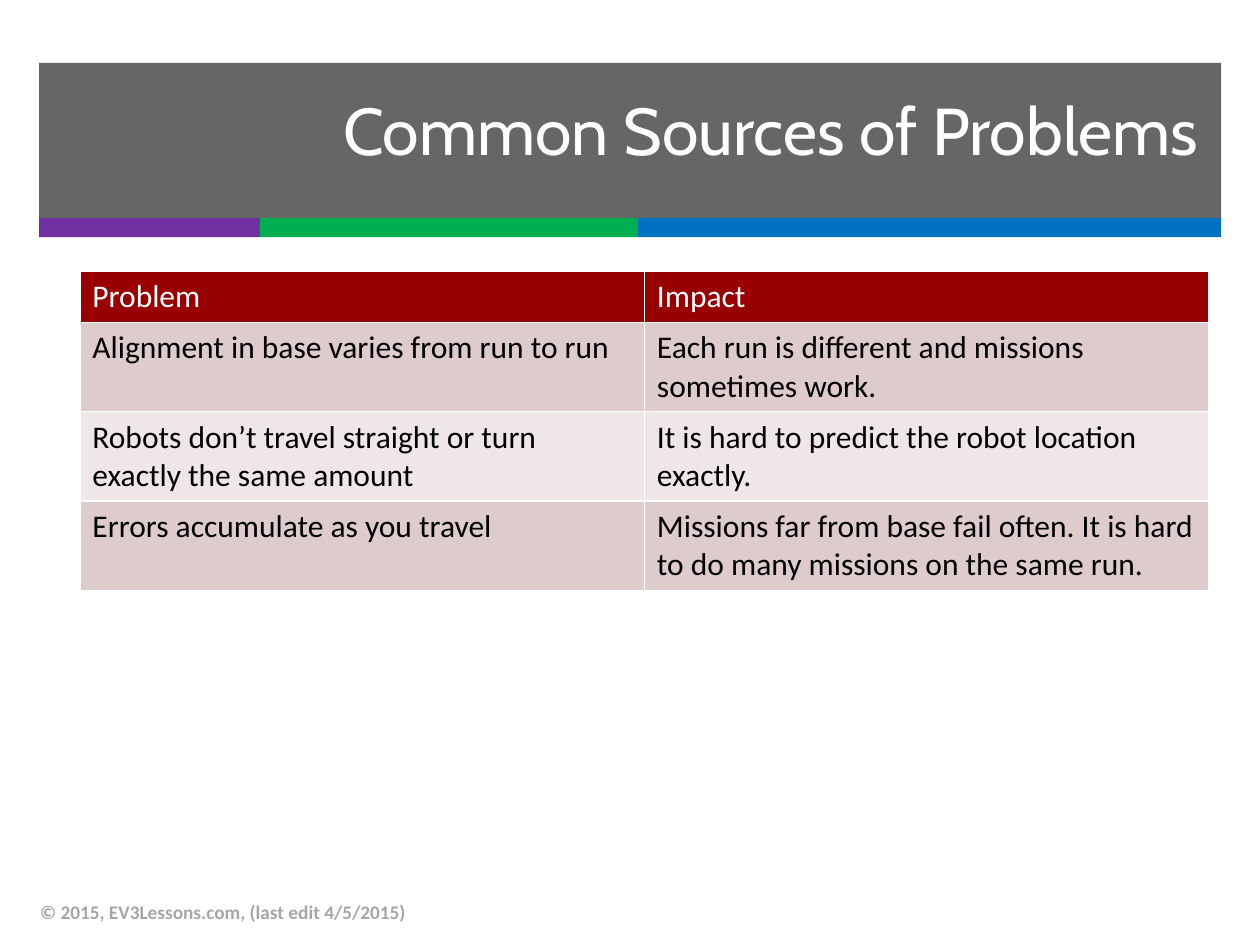
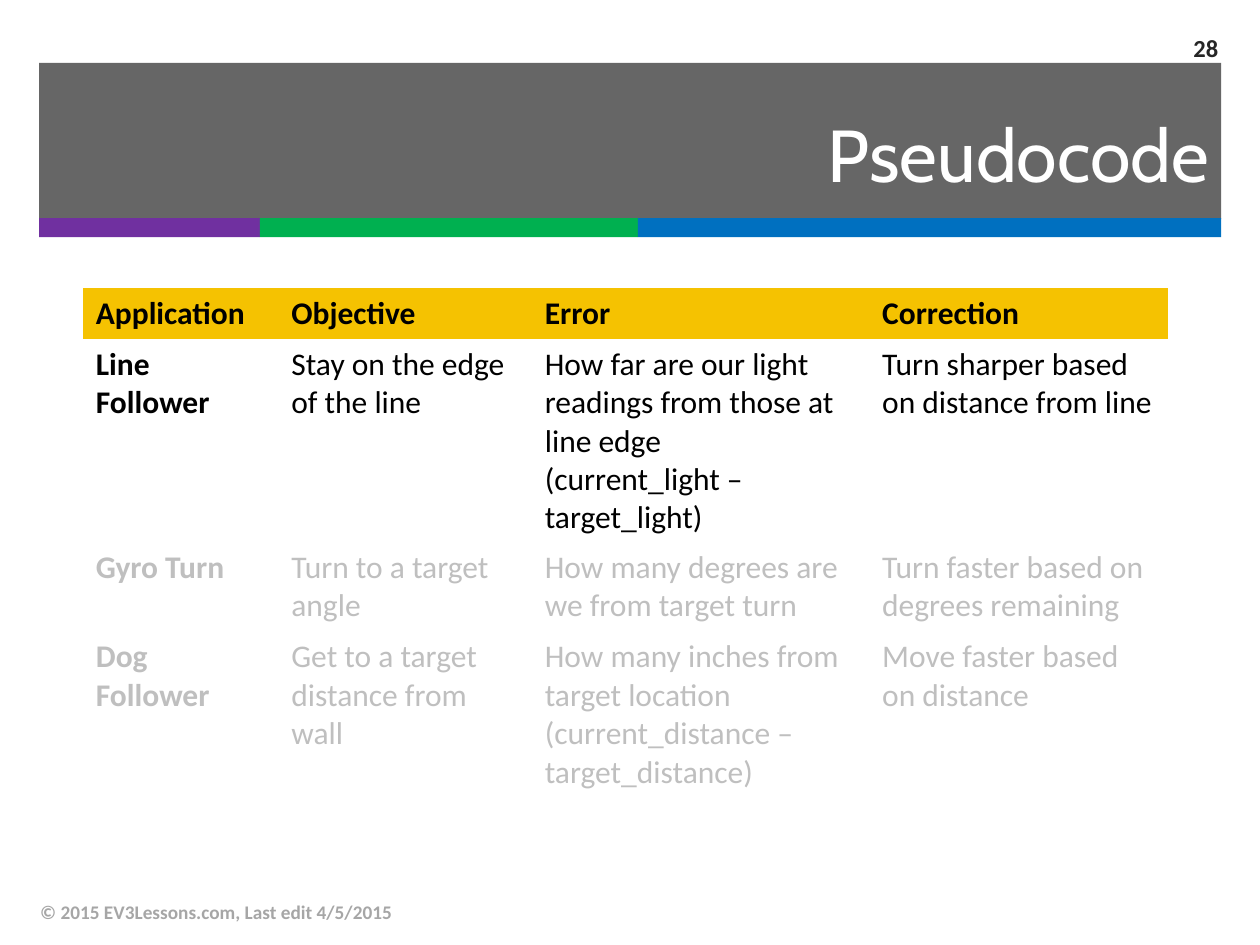
from dataclasses import dataclass

from lxml import etree
from pptx import Presentation
from pptx.dml.color import RGBColor
from pptx.enum import shapes, text
from pptx.oxml import ns
from pptx.util import Cm, Pt


@dataclass(frozen=True)
class Theme:
    head: str = "Cabin"
    body: str = "Calibri"
    white: str = "FFFFFF"
    black: str = "000000"
    dark: str = "262626"
    faded: str = "BFBFBF"
    foot: str = "A6A6A6"
    red: str = "990000"
    rose: str = "DECCCC"
    blush: str = "EFE7E7"
    gold: str = "F5C201"
    stripes: tuple = (("7030A0", 4.45), ("00B050", 7.62), ("0070C0", 11.76))
    cell: float = 18
    note: float = 11
    page: float = 14


T = Theme()
LEFT, TOP, WIDE, TALL = 0.79, 1.27, 23.83, 3.15
PLAIN = "{2D5ABB26-0587-4C30-8999-92F81FD0307C}"  # no style, no grid


def write(frame, words, size=T.cell, font=T.body, color=T.black,
          bold=False, align=text.PP_ALIGN.LEFT):
    para = frame.paragraphs[0]
    para.text = words
    para.alignment = align
    for run in para.runs:
        run.font.size = Pt(size)
        run.font.name = font
        run.font.bold = bold
        run.font.color.rgb = RGBColor.from_string(color)


def label(slide, box, words, **style):
    frame = slide.shapes.add_textbox(*map(Cm, box)).text_frame
    frame.word_wrap = True
    frame.vertical_anchor = text.MSO_ANCHOR.MIDDLE
    write(frame, words, **style)


def block(slide, box, color, alpha=None):
    """Draw a borderless rectangle; alpha is its opacity in percent."""
    rect = slide.shapes.add_shape(shapes.MSO_SHAPE.RECTANGLE, *map(Cm, box))
    rect.shadow.inherit = False
    rect.line.fill.background()
    rect.fill.solid()
    rect.fill.fore_color.rgb = RGBColor.from_string(color)
    if alpha:
        tone = rect.fill._xPr.find(".//" + ns.qn("a:srgbClr"))
        etree.SubElement(tone, ns.qn("a:alpha"), val=str(alpha * 1000))


def edge(cell, color, width=1):
    """Line all four sides of a cell."""
    props = cell._tc.get_or_add_tcPr()
    for spot, side in enumerate(("lnL", "lnR", "lnT", "lnB")):
        line = etree.Element(ns.qn("a:" + side), w=str(Pt(width)))
        fill = etree.SubElement(line, ns.qn("a:solidFill"))
        etree.SubElement(fill, ns.qn("a:srgbClr"), val=color)
        props.insert(spot, line)


def grid(slide, spot, cols, rows, cells, fills, inks, bold, rule=None):
    """Add a table; fills and inks go by row, bold(r, c) by cell."""
    frame = slide.shapes.add_table(len(rows), len(cols), *map(Cm, spot),
                                   Cm(sum(cols)), Cm(sum(rows)))
    table = frame.table
    table._tbl.tblPr.find(ns.qn("a:tableStyleId")).text = PLAIN
    table.horz_banding = False
    for col, width in zip(table.columns, cols):
        col.width = Cm(width)
    for r, (row, height) in enumerate(zip(table.rows, rows)):
        row.height = Cm(height)
        for c, cell in enumerate(row.cells):
            write(cell.text_frame, cells[r][c], color=inks[r], bold=bold(r, c))
            if fills[r]:
                cell.fill.solid()
                cell.fill.fore_color.rgb = RGBColor.from_string(fills[r])
            else:
                cell.fill.background()
            if rule:
                edge(cell, rule)


def start(deck, title, box, size, foot):
    """Add a slide with the band, stripes, title and footer."""
    slide = deck.slides.add_slide(deck.slide_layouts[6])
    block(slide, (LEFT, TOP, WIDE, TALL), T.dark, alpha=70)
    left = LEFT
    for color, width in T.stripes:
        block(slide, (left, 4.4, width, 0.38), color)
        left += width
    label(slide, box, title, size=size, font=T.head, color=T.white,
          align=text.PP_ALIGN.RIGHT)
    label(slide, (0.56, 17.88, 17.02, 1.02), foot, size=T.note,
          color=T.foot, bold=True)
    return slide


def causes(deck):
    slide = start(deck, "Common Sources of Problems",
                  (6.05, 1.45, 18.34, 2.29), 37.8,
                  "© 2015, EV3Lessons.com, (last edit 4/5/2015)")
    cells = [
        ("Problem", "Impact"),
        ("Alignment in base varies from run to run",
         "Each run is different and missions sometimes work."),
        ("Robots don’t travel straight or turn exactly the same amount",
         "It is hard to predict the robot location exactly."),
        ("Errors accumulate as you travel",
         "Missions far from base fail often. "
         "It is hard to do many missions on the same run."),
    ]
    grid(slide, (1.61, 5.47), [11.38] * 2, [1.03] + [1.8] * 3, cells,
         fills=(T.red, T.rose, T.blush, T.rose),
         inks=[T.white] + [T.black] * 3,
         bold=lambda r, c: False, rule=T.white)


def pseudo(deck):
    slide = start(deck, "Pseudocode", (LEFT, 1.75, WIDE, 2.69), 42,
                  "© 2015 EV3Lessons.com, Last edit 4/5/2015")
    cells = [
        ("Application", "Objective", "Error", "Correction"),
        ("Line Follower", "Stay on the edge of the line",
         "How far are our light readings from those at line edge\n"
         "(current_light – target_light)",
         "Turn sharper based on distance from line"),
        ("Gyro Turn", "Turn to a target angle",
         "How many degrees are we from target turn",
         "Turn faster based on degrees remaining"),
        ("Dog Follower", "Get to a target distance from wall",
         "How many inches from target location "
         "(current_distance – target_distance)",
         "Move faster based on distance"),
    ]
    grid(slide, (1.68, 5.8), (3.94, 5.11, 6.8, 6.02), (1.03, 4.1, 1.8, 3.3),
         cells, fills=(T.gold, None, None, None),
         inks=[T.black] * 2 + [T.faded] * 2,
         bold=lambda r, c: r == 0 or c == 0)
    label(slide, (23.06, 0.46, 1.75, 0.99), "28", size=T.page, color=T.dark,
          bold=True, align=text.PP_ALIGN.RIGHT)


def main():
    deck = Presentation()
    deck.slide_width, deck.slide_height = Cm(25.4), Cm(19.05)
    causes(deck)
    pseudo(deck)
    deck.save("out.pptx")


if __name__ == "__main__":
    main()
